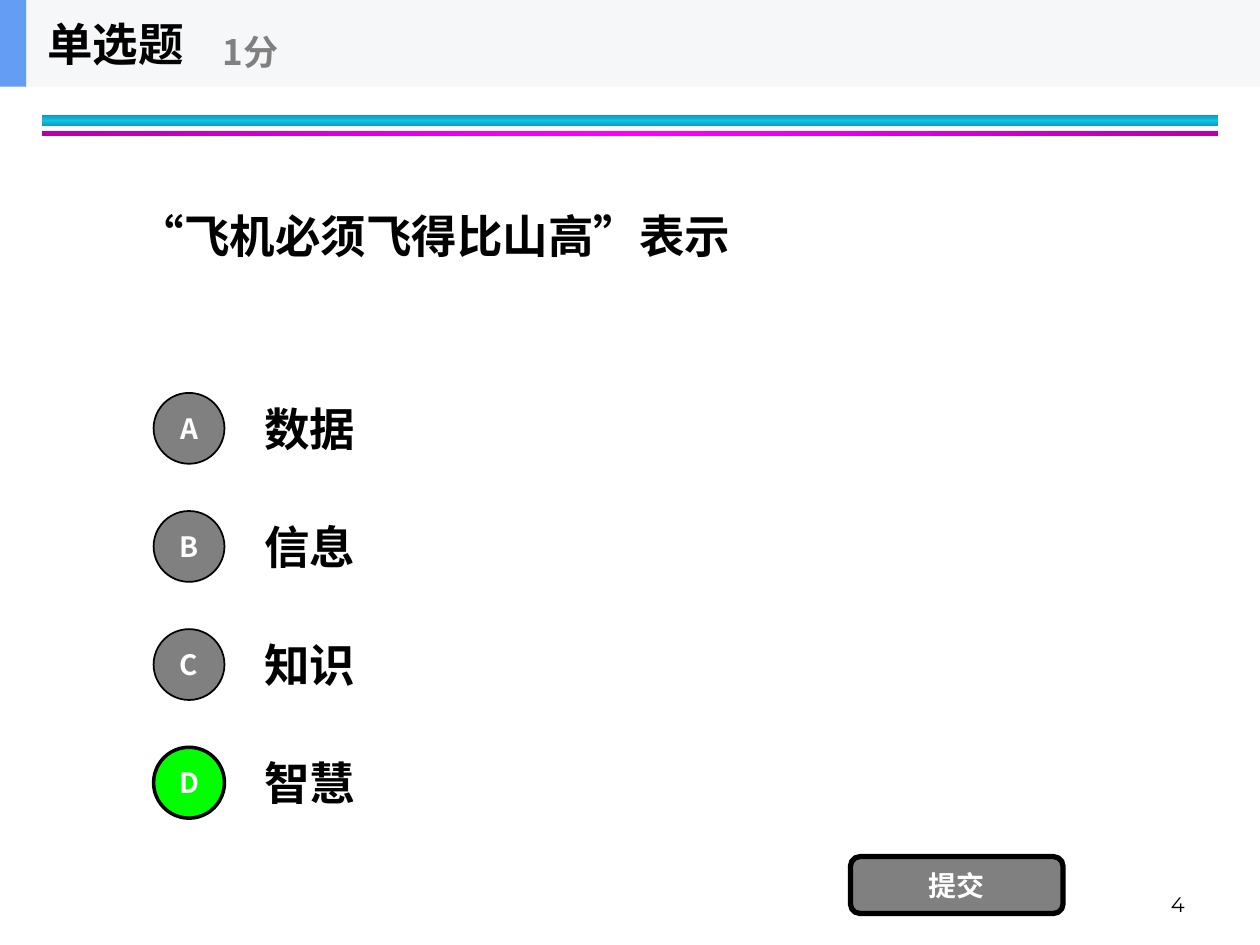
from copy import deepcopy

from pptx import Presentation
from pptx.dml.color import RGBColor
from pptx.enum.shapes import MSO_SHAPE
from pptx.enum.text import MSO_ANCHOR, PP_ALIGN
from pptx.oxml.ns import qn
from pptx.util import Pt

CJK = "Noto Sans CJK SC"
BLACK = RGBColor(0x00, 0x00, 0x00)
WHITE = RGBColor(0xFF, 0xFF, 0xFF)
GRAY = RGBColor(0x80, 0x80, 0x80)
GREEN = RGBColor(0x00, 0xFF, 0x00)
PALE = RGBColor(0xF6, 0xF7, 0xF8)
BLUE = RGBColor(0x63, 0x9E, 0xF4)
DARK_CYAN = RGBColor(0x0E, 0x9B, 0xBA)
CYAN = RGBColor(0x12, 0xC2, 0xE9)
PURPLE = RGBColor(0xB2, 0x00, 0xB2)
MAGENTA = RGBColor(0xFF, 0x00, 0xFF)


def set_text(sp, text, size=26, color=BLACK, font=CJK, bold=True,
             align=PP_ALIGN.LEFT, anchor=MSO_ANCHOR.MIDDLE, wrap=True):
    tf = sp.text_frame
    tf.word_wrap = wrap
    tf.vertical_anchor = anchor
    p = tf.paragraphs[0]
    p.alignment = align
    r = p.add_run()
    r.text = text
    r.font.size, r.font.bold, r.font.name = Pt(size), bold, font
    r.font.color.rgb = color
    rPr = r.font._element
    rPr.set("lang", "zh-CN")
    ea = rPr.makeelement(qn("a:ea"), {"typeface": font})
    rPr.find(qn("a:latin")).addnext(ea)


def add_text(s, x, y, w, h, text, **fmt):
    sp = s.shapes.add_textbox(Pt(x), Pt(y), Pt(w), Pt(h))
    set_text(sp, text, **fmt)


def add_box(s, x, y, w, h, fill=None, kind=MSO_SHAPE.RECTANGLE, line=0):
    sp = s.shapes.add_shape(kind, Pt(x), Pt(y), Pt(w), Pt(h))
    sp.shadow.inherit = False
    if fill is not None:
        sp.fill.solid()
        sp.fill.fore_color.rgb = fill
    if line:
        sp.line.color.rgb = BLACK
        sp.line.width = Pt(line)
    else:
        sp.line.fill.background()
    return sp


def add_button(s, x, y, w, h, text, **style):
    sp = add_box(s, x, y, w, h, **style)
    set_text(sp, text, size=16, color=WHITE, align=PP_ALIGN.CENTER, wrap=False)


def add_band(s, x, y, w, h, edge, middle, angle):
    """Bar whose gradient runs from edge to middle and back to edge."""
    sp = add_box(s, x, y, w, h)
    sp.fill.gradient()
    sp.fill.gradient_angle = angle
    first, last = sp.fill.gradient_stops
    for stop, color, position in ((first, middle, 0.5), (last, edge, 1)):
        stop.color.rgb = color
        stop.position = position
    stops = sp._element.spPr.find(qn("a:gradFill")).find(qn("a:gsLst"))
    stops.insert(0, deepcopy(stops[-1]))
    sp.fill.gradient_stops[0].position = 0


def add_rules(s, x, y, w):
    add_band(s, x, y, w, 6, DARK_CYAN, CYAN, 90)
    add_band(s, x, y + 8.75, w, 3, PURPLE, MAGENTA, 0)


def add_header(s, x, y, w, h, kind, score):
    add_box(s, x, y, w, h, PALE)
    add_box(s, x, y, 15, h, BLUE)
    add_text(s, x + 20, y, 150, h, kind)
    add_text(s, x + 120, y + 9, 180, h - 9, score, size=20, color=GRAY)


def add_question(s, x, y, w, h, text):
    title = s.shapes.title
    title.left, title.top, title.width, title.height = Pt(x), Pt(y), Pt(w), Pt(h)
    set_text(title, text)


def add_options(s, x, y, w, options, answer, pitch=67.5, row_h=50.5, size=40.5):
    for i, (letter, text) in enumerate(zip("ABCD", options)):
        top = y + i * pitch
        chosen = letter == answer
        add_text(s, x + 56.25, top, w - 56.25, row_h, text)
        add_button(s, x, top + (row_h - size) / 2, size, size, letter,
                   kind=MSO_SHAPE.OVAL, fill=GREEN if chosen else GRAY,
                   line=2 if chosen else 1)


def add_footer(s, x, y, number):
    add_button(s, x, y, 121.5, 32.5, "提交", fill=GRAY, line=3,
               kind=MSO_SHAPE.ROUNDED_RECTANGLE)
    add_text(s, x + 30, y + 2, 168, 36, number, size=12, font="Montserrat",
             bold=False, align=PP_ALIGN.RIGHT, anchor=MSO_ANCHOR.BOTTOM)


def main():
    prs = Presentation()
    prs.slide_width, prs.slide_height = Pt(720), Pt(540)
    s = prs.slides.add_slide(prs.slide_layouts[5])
    add_rules(s, 24, 66, 672)
    add_question(s, 72, 50, 576, 168.5, "“飞机必须飞得比山高”表示")
    add_options(s, 87.75, 219.5, 560.25, ["数据", "信息", "知识", "智慧"], "D")
    add_footer(s, 486, 489.5, "4")
    add_header(s, 0, 0, 720, 49.5, "单选题", "1分")
    prs.save("out.pptx")


if __name__ == "__main__":
    main()
